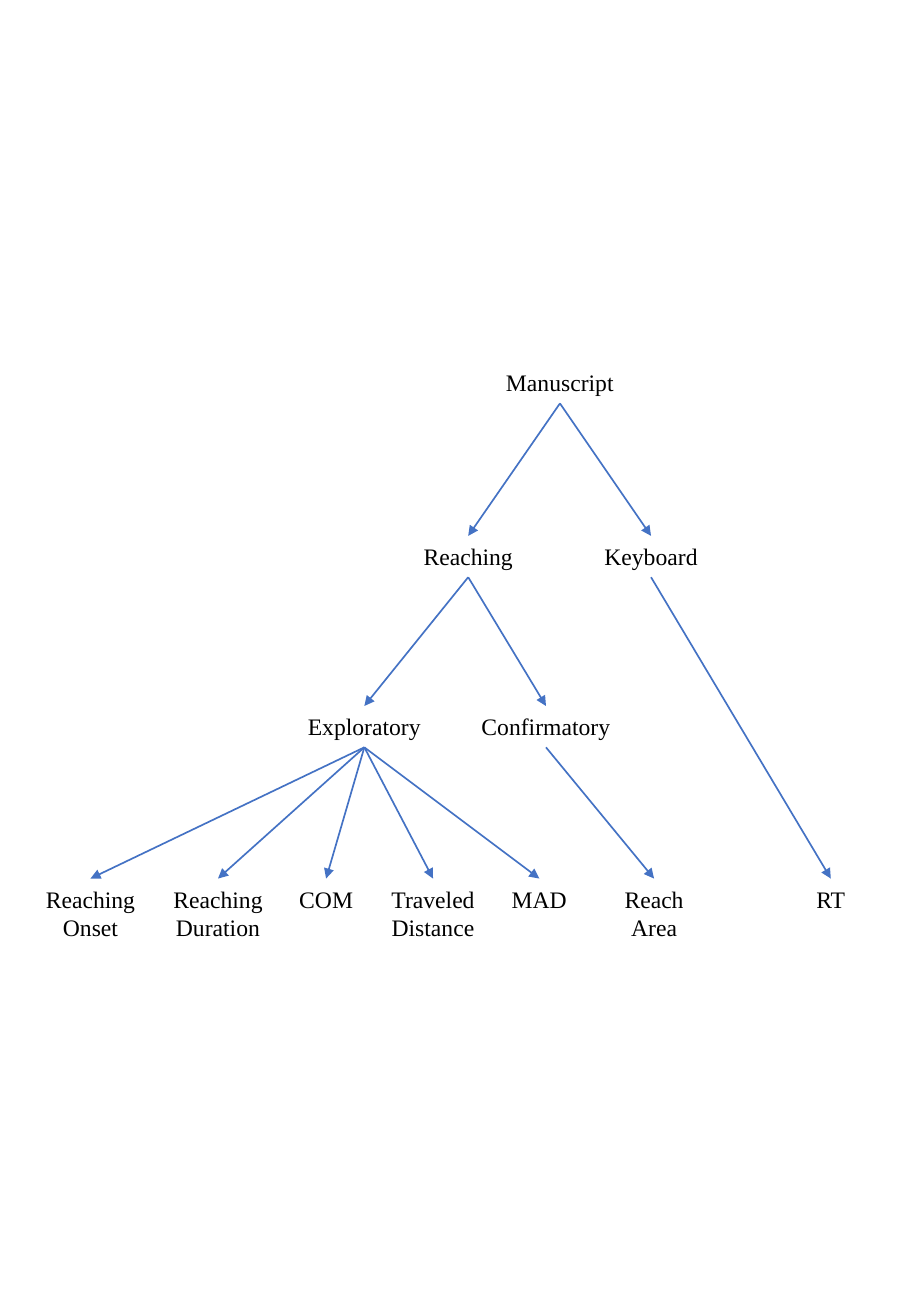
from pptx import Presentation
from pptx.dml.color import RGBColor
from pptx.enum.shapes import MSO_CONNECTOR
from pptx.enum.text import MSO_AUTO_SIZE, PP_ALIGN
from pptx.oxml.ns import qn
from pptx.util import Inches, Pt
from lxml.etree import SubElement

COLORS = {"text": "000000", "line": "4472C4"}
FONT = {"name": "Times New Roman", "size": Pt(14)}
FRAME = {"word_wrap": False, "auto_size": MSO_AUTO_SIZE.SHAPE_TO_FIT_TEXT}

# Top of each level, and height of a label by its number of lines
LEVELS = [0, 1.43, 2.83, 4.25]
HEIGHTS = {1: 0.34, 2: 0.57}

# Label: (level, left, width), relative to the tree's box
NODES = {
    "Manuscript": (0, 3.79, 1.1),
    "Reaching": (1, 3.11, 0.95),
    "Keyboard": (1, 4.6, 0.98),
    "Exploratory": (2, 2.16, 1.14),
    "Confirmatory": (2, 3.59, 1.27),
    "Reaching\nOnset": (3, 0, 0.95),
    "Reaching\nDuration": (3, 1.05, 0.95),
    "COM": (3, 2.09, 0.65),
    "Traveled\nDistance": (3, 2.85, 0.89),
    "MAD": (3, 3.84, 0.66),
    "Reach\nArea": (3, 4.77, 0.69),
    "RT": (3, 6.35, 0.44),
}

# Parent: children
LINKS = {
    "Manuscript": ["Reaching", "Keyboard"],
    "Reaching": ["Exploratory", "Confirmatory"],
    "Keyboard": ["RT"],
    "Exploratory": ["Reaching\nOnset", "Reaching\nDuration", "COM",
                    "Traveled\nDistance", "MAD"],
    "Confirmatory": ["Reach\nArea"],
}


def style(item, values):
    for name, value in values.items():
        setattr(item, name, value)


def add_label(slide, text, left, top, width):
    lines = text.split("\n")
    label = slide.shapes.add_textbox(
        Inches(left), Inches(top), Inches(width), Inches(HEIGHTS[len(lines)]))
    frame = label.text_frame
    frame.text = text
    style(frame, FRAME)
    for para in frame.paragraphs:
        para.alignment = PP_ALIGN.CENTER
        for run in para.runs:
            style(run.font, FONT)
            run.font.color.rgb = RGBColor.from_string(COLORS["text"])
    return label


def add_arrow(slide, start, end):
    arrow = slide.shapes.add_connector(MSO_CONNECTOR.STRAIGHT, 0, 0, 0, 0)
    arrow.begin_connect(start, 2)
    arrow.end_connect(end, 0)
    arrow.line.color.rgb = RGBColor.from_string(COLORS["line"])
    arrow.line.width = Pt(1)
    SubElement(arrow.line._get_or_add_ln(), qn("a:tailEnd"), type="triangle")
    SubElement(arrow._element.spPr, qn("a:effectLst"))


def add_tree(slide, left, top):
    # Labels
    labels = {}
    for text, (level, shift, width) in NODES.items():
        labels[text] = add_label(
            slide, text, left + shift, top + LEVELS[level], width)
    # Arrows from each parent to its children
    for parent, children in LINKS.items():
        for child in children:
            add_arrow(slide, labels[parent], labels[child])


def main():
    deck = Presentation()
    style(deck, {"slide_width": Inches(7.5), "slide_height": Inches(10.83)})
    slide = deck.slides.add_slide(deck.slide_layouts[6])
    add_tree(slide, 0.27, 2.98)
    deck.save("out.pptx")


if __name__ == "__main__":
    main()
